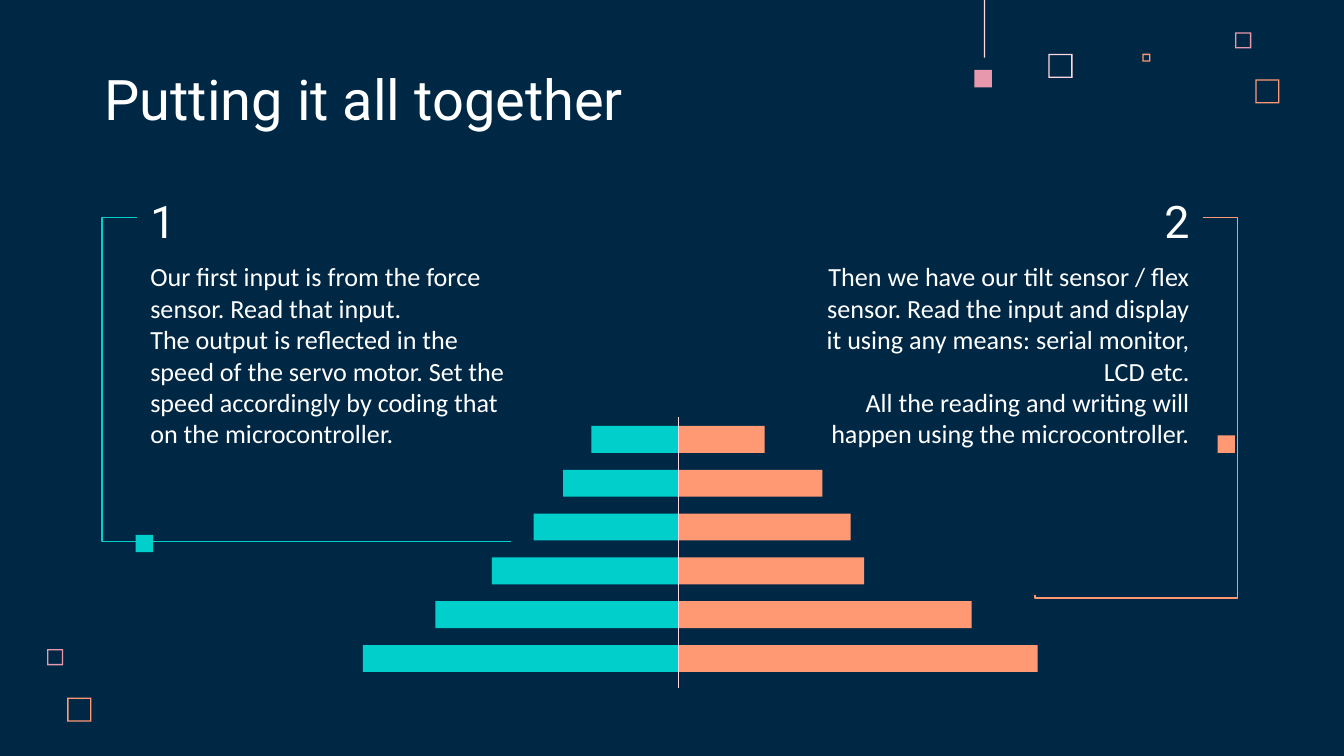
from dataclasses import dataclass

from lxml import etree
from pptx import Presentation
from pptx.dml.color import RGBColor
from pptx.enum.shapes import MSO_CONNECTOR as Connector, MSO_SHAPE as Shape
from pptx.enum.text import MSO_ANCHOR as Anchor, PP_ALIGN as Align
from pptx.oxml.ns import qn
from pptx.util import Inches, Pt


@dataclass(frozen=True)
class Theme:
    """Colours, fonts and sizes of the slide."""
    navy: str = "002845"
    white: str = "FFFFFF"
    blush: str = "FFD6E1"
    pink: str = "E898AC"
    orange: str = "FF9973"
    teal: str = "00CFCC"
    heading_font: str = "Roboto"
    body_font: str = "Calibri"
    title_size: int = 30
    number_size: int = 24
    body_size: int = 14
    line_width: float = 0.75


THEME = Theme()


def add_block(slide, left, top, width, height, color, kind=Shape.RECTANGLE):
    """Add a filled preset shape without outline or shadow."""
    shape = slide.shapes.add_shape(
        kind, Inches(left), Inches(top), Inches(width), Inches(height))
    shape.shadow.inherit = False
    shape.fill.solid()
    shape.fill.fore_color.rgb = RGBColor.from_string(color)
    shape.line.fill.background()
    return shape


def add_frame(slide, left, top, size, color):
    """Add a thin hollow square."""
    frame = add_block(slide, left, top, size, size, color, Shape.FRAME)
    frame.adjustments[0] = 0.01 / size


def add_line(slide, start, end, color, kind=Connector.STRAIGHT):
    """Add a thin connector without shadow."""
    line = slide.shapes.add_connector(kind, *map(Inches, start + end))
    line.line.color.rgb = RGBColor.from_string(color)
    line.line.width = Pt(THEME.line_width)
    etree.SubElement(line._element.spPr, qn("a:effectLst"))
    return line


def add_bracket(slide, start, end, color, bends):
    """Add an elbow connector whose bends are shares of its box."""
    line = add_line(slide, start, end, color, Connector.ELBOW)
    geometry = line._element.spPr.find(qn("a:prstGeom"))
    geometry.set("prst", f"bentConnector{len(bends) + 2}")
    guides = geometry.find(qn("a:avLst"))
    for number, bend in enumerate(bends, 1):
        etree.SubElement(guides, qn("a:gd"), name=f"adj{number}",
                         fmla=f"val {round(bend * 100000)}")


def add_text(slide, box, paragraphs, font, size, align=Align.LEFT, anchor=Anchor.TOP):
    """Add a wrapped text box with uniform paragraphs."""
    frame = slide.shapes.add_textbox(*map(Inches, box)).text_frame
    frame.word_wrap = True
    frame.vertical_anchor = anchor
    frame.margin_left = frame.margin_right = Inches(0.1)
    frame.margin_top = frame.margin_bottom = Inches(0.1)
    frame.text = "\n".join(paragraphs)
    for paragraph in frame.paragraphs:
        paragraph.alignment = align
        paragraph.font.name = font
        paragraph.font.size = Pt(size)
        paragraph.font.color.rgb = RGBColor.from_string(THEME.white)


def add_decoration(slide):
    """Scatter the small squares and the hanging pendant."""
    squares = [
        (7.8, 0.4, 0.18, THEME.blush),
        (9.19, 0.24, 0.12, THEME.pink),
        (8.5, 0.4, 0.06, THEME.orange),
        (9.34, 0.59, 0.18, THEME.orange),
        (0.35, 4.83, 0.12, THEME.pink),
        (0.5, 5.19, 0.18, THEME.orange),
    ]
    for square in squares:
        add_frame(slide, *square)
    add_block(slide, 7.25, 0.52, 0.13, 0.13, THEME.pink)
    add_block(slide, 7.32, 0, 0.01, 0.43, THEME.blush)


def add_step(slide, left, top, width, number, number_width, paragraphs, align):
    """Add a step number above its description."""
    number_left = left + width - number_width if align == Align.RIGHT else left
    add_text(slide, (number_left, top, number_width, 0.63), [number],
             THEME.heading_font, THEME.number_size, align, Anchor.BOTTOM)
    add_text(slide, (left, top + 0.53, width, 1.22), paragraphs,
             THEME.body_font, THEME.body_size, align)


def add_pyramid(slide, center, top, height):
    """Add mirrored bars on both sides of a vertical axis."""
    left_widths = [0.65, 0.86, 1.08, 1.39, 1.81, 2.35]
    right_widths = [0.65, 1.08, 1.29, 1.39, 2.19, 2.68]
    first, last = top + 0.07, top + 1.7
    pitch, thickness = (last - first) / (len(left_widths) - 1), 0.2
    for row, (left_width, right_width) in enumerate(zip(left_widths, right_widths)):
        bar_top = first + row * pitch
        add_block(slide, center - 0.01, bar_top, right_width, thickness, THEME.orange)
        add_block(slide, center - left_width, bar_top, left_width, thickness, THEME.teal)
    add_line(slide, (center, top), (center, top + height), THEME.blush)


def main():
    """Build and save the slide."""
    presentation = Presentation()
    presentation.slide_width = Inches(10)
    presentation.slide_height = presentation.slide_width * 9 // 16
    slide = presentation.slides.add_slide(presentation.slide_layouts[6])
    slide.background.fill.solid()
    slide.background.fill.fore_color.rgb = RGBColor.from_string(THEME.navy)

    add_decoration(slide)
    add_text(slide, (0.68, 0.45, 6.73, 0.63), ["Putting it all together"],
             THEME.heading_font, THEME.title_size, anchor=Anchor.BOTTOM)
    add_step(slide, 1.02, 1.31, 2.87, "1", 1.07, [
        "Our first input is from the force sensor. Read that input.",
        "The output is reflected in the speed of the servo motor. "
        "Set the speed accordingly by coding that on the microcontroller.",
    ], Align.LEFT)
    add_step(slide, 5.96, 1.31, 2.99, "2", 1.24, [
        "Then we have our tilt sensor / flex sensor. Read the input and "
        "display it using any means: serial monitor, LCD etc.",
        "All the reading and writing will happen using the microcontroller.",
    ], Align.RIGHT)
    add_pyramid(slide, 5.05, 3.1, 2.02)
    add_bracket(slide, (1.02, 1.62), (3.8, 4.03), THEME.teal, [-0.094])
    add_bracket(slide, (8.95, 1.62), (7.7, 4.43), THEME.orange, [-0.208, 1.007])
    add_block(slide, 1.01, 3.98, 0.13, 0.13, THEME.teal)
    add_block(slide, 9.06, 3.24, 0.13, 0.13, THEME.orange)
    presentation.save("out.pptx")


if __name__ == "__main__":
    main()
